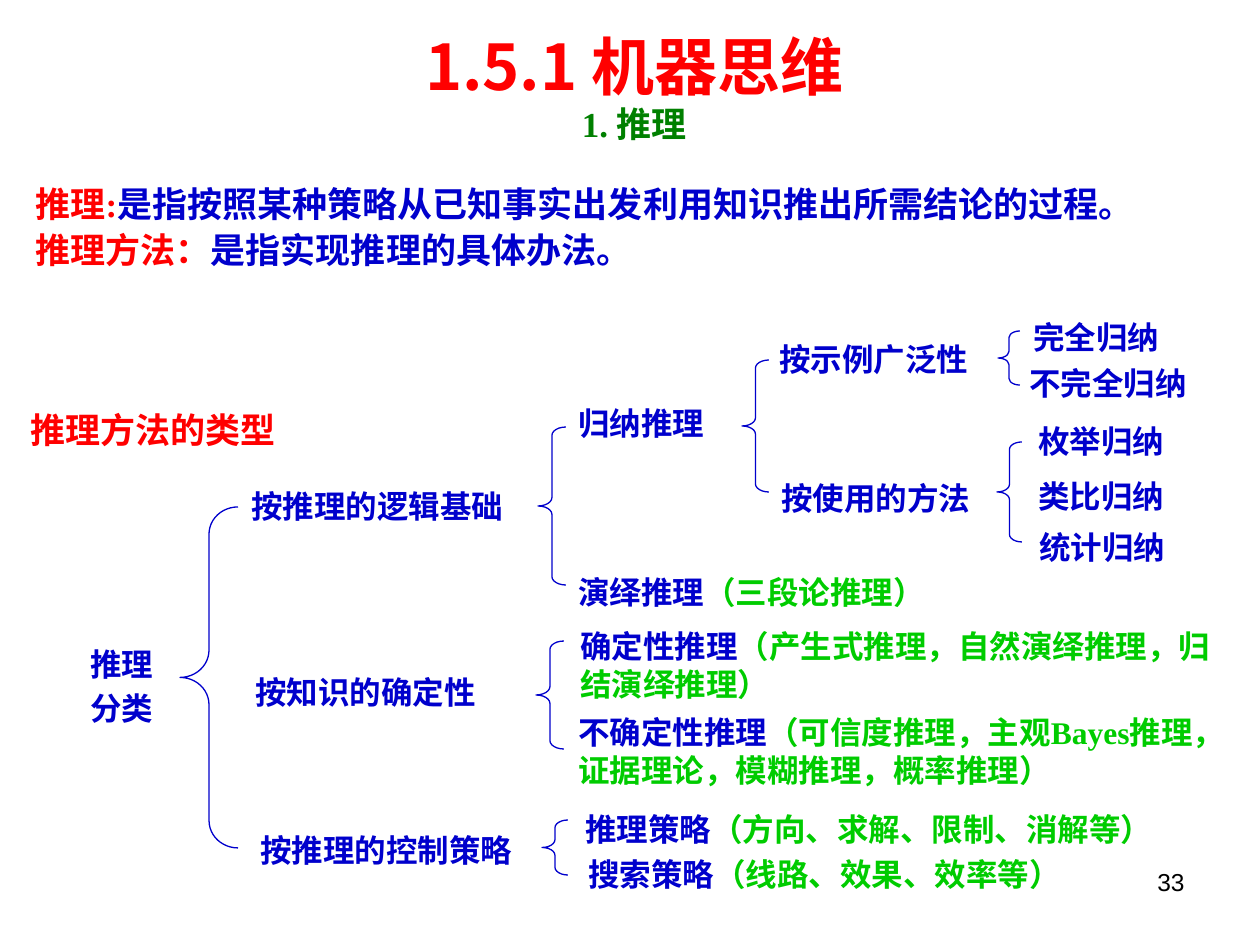
from lxml import etree
from pptx import Presentation
from pptx import util as u
from pptx.dml.color import RGBColor
from pptx.enum import shapes, text
from pptx.oxml.ns import qn

PX = 914400 / 126
RED, BLUE, GREEN, DARK_GREEN, BLACK = "FF0000", "0000CC", "00CC00", "008000", "000000"
SERIF, SANS, CJK = "Times New Roman", "Arial", "Noto Sans CJK SC"

TITLE = [("1.5.1 机器思维", 36, CJK, RED), ("1. 推理", 20, SERIF, DARK_GREEN)]
DEFINITIONS = [
    [("推理:", RED), ("是指按照某种策略从已知事实出发利用知识推出所需结论的过程。", BLUE)],
    [("推理方法：", RED), ("是指实现推理的具体办法。", BLUE)],
]
ROOT = [[("推理", BLUE)], [("分类", BLUE)]]
LABELS = [
    (239, 481, 282, "按推理的逻辑基础", ""),
    (243, 667, 258, "按知识的确定性", ""),
    (248, 825, 286, "按推理的控制策略", ""),
    (566, 398, 152, "归纳推理", ""),
    (566, 567, 402, "演绎推理", "（三段论推理）"),
    (568, 621, 660, "确定性推理", "（产生式推理，自然演绎推理，归结演绎推理）"),
    (566, 707, 655, "不确定性推理", "（可信度推理，主观Bayes推理，证据理论，模糊推理，概率推理）"),
    (573, 804, 646, "推理策略", "（方向、求解、限制、消解等）"),
    (576, 849, 530, "搜索策略", "（线路、效果、效率等）"),
    (767, 334, 226, "按示例广泛性", ""),
    (769, 473, 226, "按使用的方法", ""),
    (1021, 312, 164, "完全归纳", ""),
    (1017, 358, 193, "不完全归纳", ""),
    (1026, 416, 164, "枚举归纳", ""),
    (1026, 471, 164, "类比归纳", ""),
    (1027, 522, 164, "统计归纳", ""),
]
BRACES = [
    (180, 507, 58, 341, 0.47),
    (538, 427, 28, 158, 0.3),
    (536, 641, 28, 108, 0.3),
    (542, 820, 26, 55, 0.3),
    (742, 360, 27, 132, 0.3),
    (998, 331, 22, 54, 0.3),
    (997, 442, 25, 100, 0.3),
]


def px(*lengths):
    return [round(length * PX) for length in lengths]


def color(value):
    return RGBColor.from_string(value)


def style(run, size, font, value, bold=True):
    run.font.size = u.Pt(size)
    run.font.bold = bold
    run.font.name = font
    run.font.color.rgb = color(value)
    etree.SubElement(run._r.get_or_add_rPr(), qn("a:ea")).set("typeface", CJK)


def add_text(slide, box, paragraphs, size, font=SERIF, bold=True, spacing=None, align=None):
    frame = slide.shapes.add_textbox(*px(*box)).text_frame
    frame.word_wrap = True
    for index, runs in enumerate(paragraphs):
        paragraph = frame.add_paragraph() if index else frame.paragraphs[0]
        paragraph.alignment = align
        paragraph.line_spacing = spacing
        for words, value in runs:
            run = paragraph.add_run()
            run.text = words
            style(run, size, font, value, bold)


def add_title(slide):
    frame = slide.shapes.add_textbox(*px(23, 21, 1223, 131)).text_frame
    frame.word_wrap = True
    paragraph = frame.paragraphs[0]
    paragraph.text = "\v".join(line[0] for line in TITLE)
    paragraph.alignment = text.PP_ALIGN.CENTER
    for run, (_, size, font, value) in zip(paragraph.runs, TITLE):
        style(run, size, font, value)


def add_brace(slide, left, top, width, height, curve):
    brace = slide.shapes.add_shape(shapes.MSO_SHAPE.LEFT_BRACE, *px(left, top, width, height))
    brace.adjustments[0] = curve
    brace.shadow.inherit = False
    brace.fill.background()
    brace.line.color.rgb = color(BLUE)
    brace.line.width = u.Pt(0.75)


def main():
    presentation = Presentation()
    presentation.slide_width, presentation.slide_height = px(1260, 945)
    slide = presentation.slides.add_slide(presentation.slide_layouts[6])

    add_text(slide, (903, 861, 294, 66), [[("33", BLACK)]], 14, SANS, False,
             align=text.PP_ALIGN.RIGHT)
    add_text(slide, (23, 173, 1206, 103), DEFINITIONS, 20, spacing=u.Pt(26))
    add_text(slide, (18, 398, 310, 59), [[("推理方法的类型", RED)]], 20, spacing=1.1)
    add_text(slide, (78, 633, 100, 101), ROOT, 18, spacing=u.Pt(25))
    for left, top, width, name, examples in LABELS:
        runs = [(name, BLUE)] + ([(examples, GREEN)] if examples else [])
        height = 88 if len(examples) > 20 else 50
        add_text(slide, (left, top, width, height), [runs], 18)
    for brace in BRACES:
        add_brace(slide, *brace)
    add_title(slide)

    presentation.save("out.pptx")


if __name__ == "__main__":
    main()
